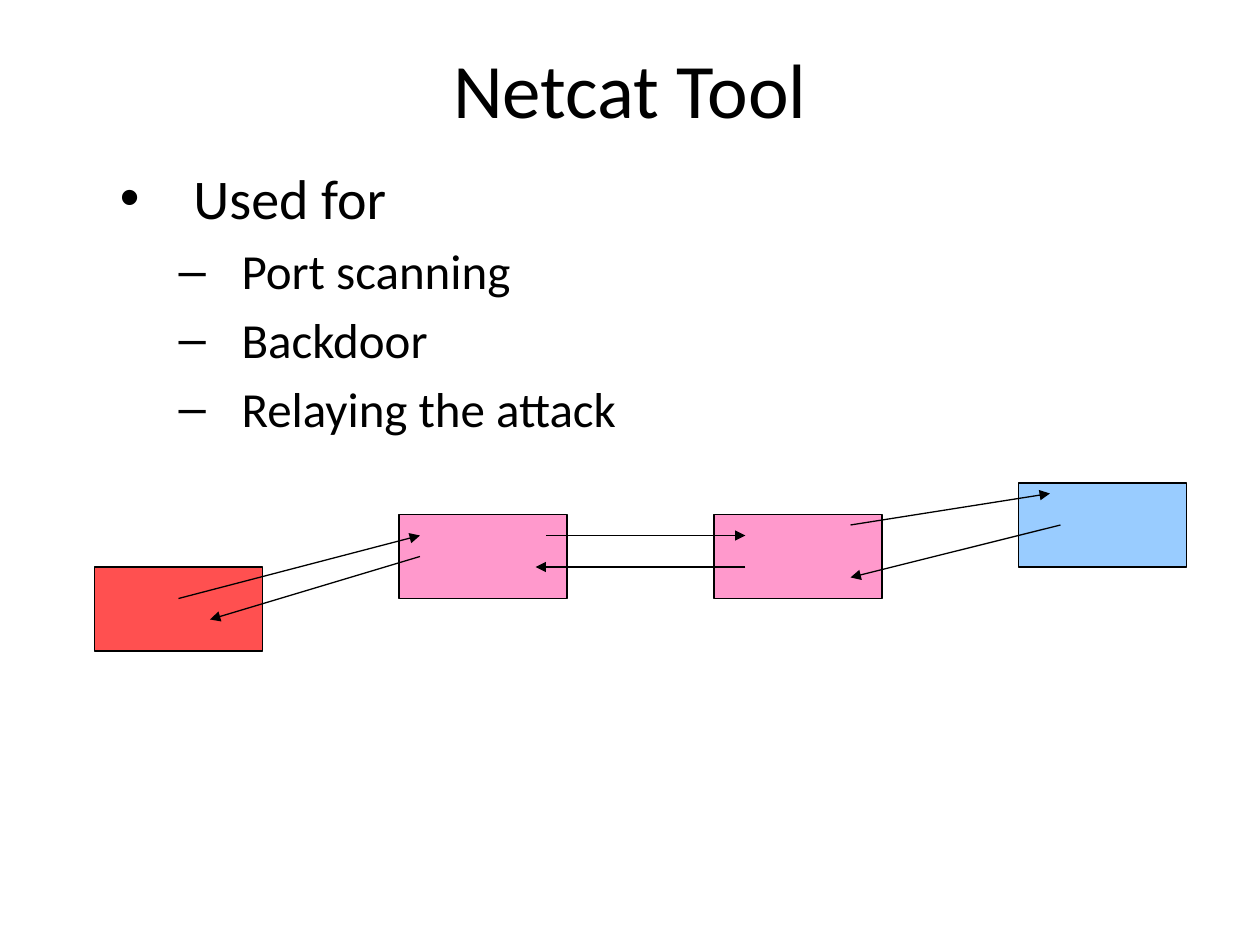
import pptx
import pptx.util
from lxml import etree
from pptx.dml.color import RGBColor
from pptx.enum.shapes import MSO_CONNECTOR, MSO_SHAPE
from pptx.enum.text import MSO_ANCHOR, PP_ALIGN
from pptx.oxml.ns import qn

Pt = pptx.util.Pt

BLACK = RGBColor(0x00, 0x00, 0x00)
RED = RGBColor(0xFF, 0x50, 0x50)
PINK = RGBColor(0xFF, 0x99, 0xCC)
BLUE = RGBColor(0x99, 0xCC, 0xFF)

TITLE = "Netcat Tool"
BULLETS = [
    (0, "Used for"),
    (1, "Port scanning"),
    (1, "Backdoor"),
    (1, "Relaying the attack"),
]
LEVELS = [
    {"bullet": "•", "size": 32, "margin": 49.5, "indent": -42, "before": 0},
    {"bullet": "–", "size": 28, "margin": 77, "indent": -36, "before": 5.6},
]

HOST_SIZE = (96, 48)
HOSTS = [  # left, top, fill
    (228, 294, PINK),
    (408, 294, PINK),
    (582, 276, BLUE),
    (54, 324, RED),
]
ARROWS = [  # start x, start y, end x, end y
    (102, 342, 240, 306),
    (312, 306, 426, 306),
    (486, 300, 600, 282),
    (606, 300, 486, 330),
    (426, 324, 306, 324),
    (240, 318, 120, 354),
]


def points(*values):
    return [Pt(value) for value in values]


def add_frame(slide, box, margins, anchor):
    frame = slide.shapes.add_textbox(*points(*box)).text_frame
    horizontal, vertical = points(*margins)
    settings = {
        "word_wrap": True, "vertical_anchor": anchor,
        "margin_left": horizontal, "margin_right": horizontal,
        "margin_top": vertical, "margin_bottom": vertical,
    }
    for name, value in settings.items():
        setattr(frame, name, value)
    return frame


def add_run(paragraph, text, size):
    run = paragraph.add_run()
    run.text = text
    for name, value in {"name": "Calibri", "size": Pt(size)}.items():
        setattr(run.font, name, value)
    run.font.color.rgb = BLACK


def add_bullet(paragraph, level):
    style = LEVELS[level]
    paragraph.level = level
    paragraph.space_before = Pt(style["before"])
    properties = paragraph._p.get_or_add_pPr()
    properties.set("marL", str(Pt(style["margin"])))
    properties.set("indent", str(Pt(style["indent"])))
    color = etree.SubElement(properties, qn("a:buClr"))
    etree.SubElement(color, qn("a:srgbClr"), val=str(BLACK))
    etree.SubElement(properties, qn("a:buFont"), typeface="Arial")
    etree.SubElement(properties, qn("a:buChar"), char=style["bullet"])


def set_outline(line):
    line.color.rgb = BLACK
    line.width = Pt(0.75)


def add_host(slide, left, top, fill):
    shape = slide.shapes.add_shape(
        MSO_SHAPE.RECTANGLE, *points(left, top, *HOST_SIZE))
    shape.shadow.inherit = False
    shape.fill.solid()
    shape.fill.fore_color.rgb = fill
    set_outline(shape.line)


def add_arrow(slide, ends):
    connector = slide.shapes.add_connector(
        MSO_CONNECTOR.STRAIGHT, *points(*ends))
    set_outline(connector.line)
    etree.SubElement(connector.line._get_or_add_ln(), qn("a:tailEnd"),
                     type="triangle")
    etree.SubElement(connector._element.spPr, qn("a:effectLst"))


def main():
    presentation = pptx.Presentation()
    presentation.slide_width, presentation.slide_height = points(720, 540)
    slide = presentation.slides.add_slide(presentation.slide_layouts[6])

    title = add_frame(slide, (54, 5, 612, 90), (0, 0), MSO_ANCHOR.MIDDLE)
    title.paragraphs[0].alignment = PP_ALIGN.CENTER
    add_run(title.paragraphs[0], TITLE, 44)

    body = add_frame(slide, (54, 90, 642, 378), (7.2, 3.6), MSO_ANCHOR.TOP)
    for index, (level, text) in enumerate(BULLETS):
        paragraph = body.add_paragraph() if index else body.paragraphs[0]
        add_bullet(paragraph, level)
        add_run(paragraph, text, LEVELS[level]["size"])

    for host in HOSTS:
        add_host(slide, *host)
    for ends in ARROWS:
        add_arrow(slide, ends)

    presentation.save("out.pptx")


if __name__ == "__main__":
    main()
